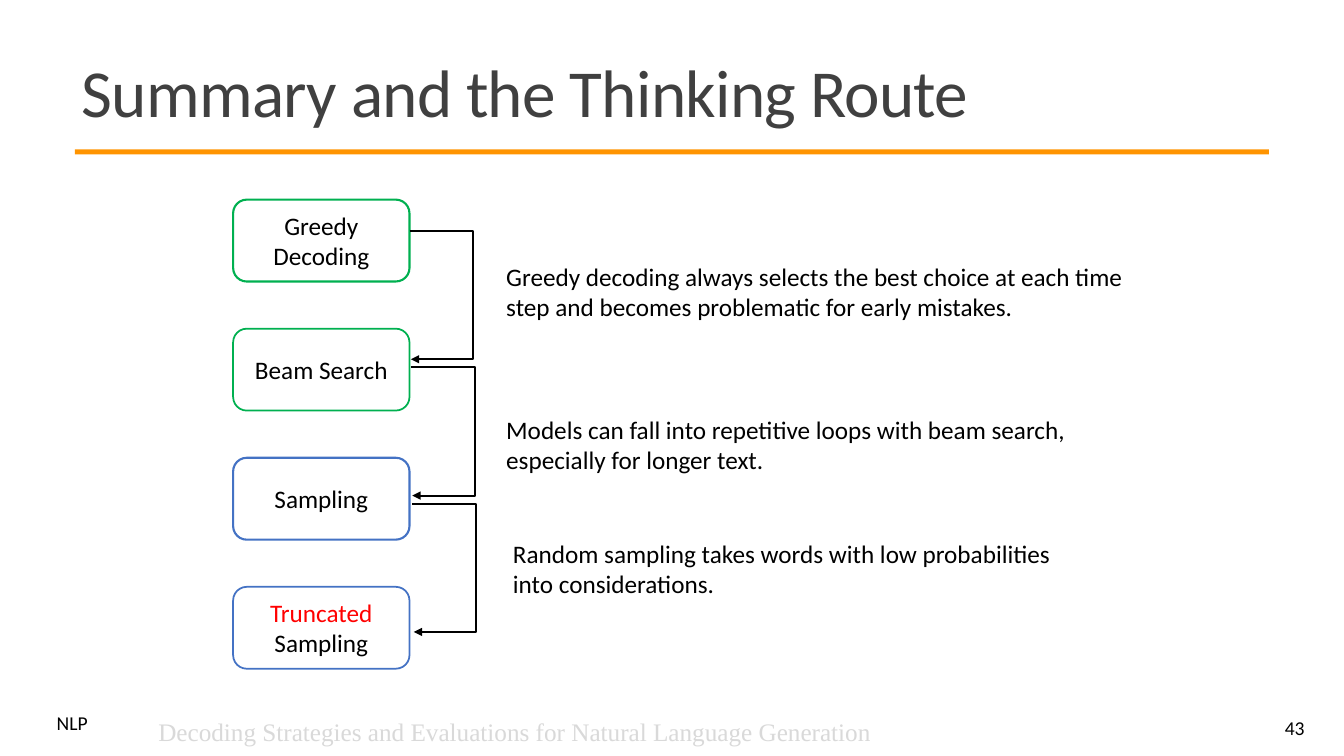
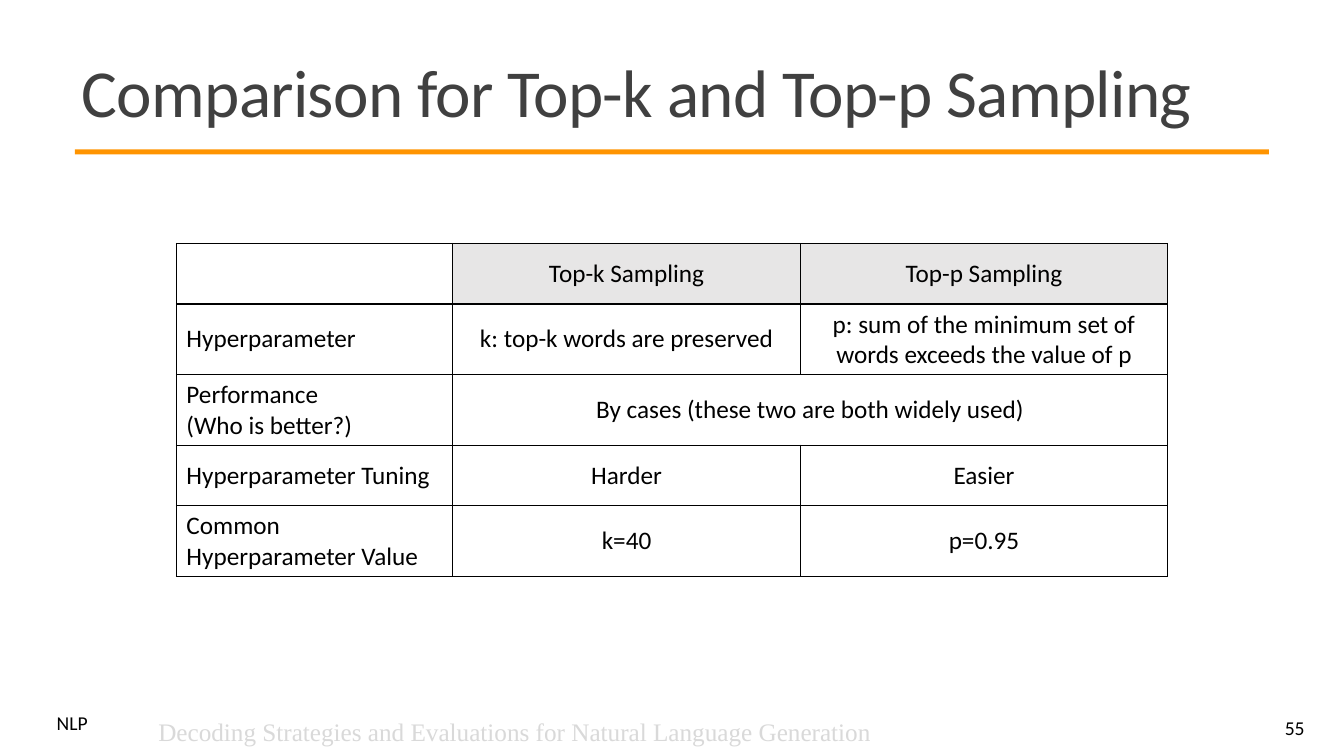
from lxml import etree
from pptx import Presentation
from pptx.dml.color import RGBColor
from pptx.enum import shapes, text
from pptx.oxml import ns
from pptx.util import Pt

COLORS = {
    "ink": "000000", "title": "404040", "band": "FF9400", "footer": "D9D9D9",
    "green": "00B050", "blue": "4472C4", "red": "FF0000", "header": "E7E6E6",
}
RGB = {name: RGBColor.from_string(value) for name, value in COLORS.items()}
LEFT, CENTER, RIGHT = text.PP_ALIGN.LEFT, text.PP_ALIGN.CENTER, text.PP_ALIGN.RIGHT
MIDDLE, TOP = text.MSO_ANCHOR.MIDDLE, text.MSO_ANCHOR.TOP


def write(tf, content, size=18, color="ink", align=LEFT, font="Calibri", spacing=None):
    tf.text = content
    for p in tf.paragraphs:
        p.alignment = align
        p.line_spacing = spacing
        for r in p.runs:
            r.font.size = Pt(size)
            r.font.name = font
            r.font.bold = False
            r.font.color.rgb = RGB[color]


def add_text(s, box, content, anchor=TOP, **style):
    tf = s.shapes.add_textbox(*map(Pt, box)).text_frame
    tf.word_wrap = True
    tf.vertical_anchor = anchor
    write(tf, content, **style)
    return tf


prs = Presentation()
prs.slide_width, prs.slide_height = Pt(960), Pt(540)

for title, number in (
    ("Summary and the Thinking Route", "43"),
    ("Comparison for Top-k and Top-p Sampling", "55"),
):
    s = prs.slides.add_slide(prs.slide_layouts[6])
    band = s.shapes.add_shape(shapes.MSO_SHAPE.RECTANGLE, Pt(53.5), Pt(106.7), Pt(853), Pt(3.6))
    band.shadow.inherit = False
    band.fill.solid()
    band.fill.fore_color.rgb = RGB["band"]
    band.line.fill.background()
    tf = add_text(s, (51.3, 28.2, 859.5, 81.4), title, MIDDLE, size=48, color="title", spacing=0.85)
    tf.paragraphs[0].runs[0].font._element.set("spc", "-50")
    add_text(s, (33.4, 507.6, 44, 21), "NLP", size=14, spacing=0.8)
    add_text(s, (836, 505.5, 103, 28.8), number, MIDDLE, size=14, align=RIGHT)
    add_text(s, (106, 508.3, 541.5, 29),
             "Decoding Strategies and Evaluations for Natural Language Generation",
             color="footer", font="Times New Roman")

route, comparison = prs.slides

steps = [
    ("Greedy Decoding", "green", 1.5),
    ("Beam Search", "green", 1.25),
    ("Sampling", "blue", 1.5),
    ("Truncated", "blue", 1.25),
]
for i, (label, color, width) in enumerate(steps):
    sp = route.shapes.add_shape(shapes.MSO_SHAPE.ROUNDED_RECTANGLE,
                                Pt(166.5), Pt(142.6 + 92.2 * i), Pt(126), Pt(58.5))
    sp.shadow.inherit = False
    sp.fill.background()
    sp.line.color.rgb = RGB[color]
    sp.line.width = Pt(width)
    sp.text_frame.vertical_anchor = MIDDLE
    write(sp.text_frame, label, align=CENTER)

p = sp.text_frame.paragraphs[0]
p.runs[0].font.color.rgb = RGB["red"]
r = p.add_run()
r.text = " Sampling"
r.font.size = Pt(18)
r.font.name = "Calibri"
r.font.color.rgb = RGB["ink"]

for i in range(len(steps) - 1):
    x, y = 292.5 + i, 165 + 97.4 * i
    cn = route.shapes.add_connector(shapes.MSO_CONNECTOR.ELBOW, Pt(x), Pt(y), Pt(x + 1), Pt(y + 91.6))
    cn.line.color.rgb = RGB["ink"]
    cn.line.width = Pt(1.5)
    etree.SubElement(cn.line._get_or_add_ln(), ns.qn("a:tailEnd"), type="triangle")
    spPr = cn._element.spPr
    etree.SubElement(spPr, ns.qn("a:effectLst"))
    guides = spPr.find(ns.qn("a:prstGeom")).get_or_add_avLst()
    etree.SubElement(guides, ns.qn("a:gd"), name="adj1", fmla="val 4590000")

for x, y, width, content in (
    (354.5, 182.9, 476.6, "Greedy decoding always selects the best choice at each time step "
                          "and becomes problematic for early mistakes."),
    (354.5, 292.3, 420, "Models can fall into repetitive loops with beam search, "
                        "especially for longer text."),
    (359.3, 380.9, 420, "Random sampling takes words with low probabilities into considerations."),
):
    add_text(route, (x, y, width, 51), content)

rows = [
    ("", "Top-k Sampling", "Top-p Sampling"),
    ("Hyperparameter", "k: top-k words are preserved",
     "p: sum of the minimum set of words exceeds the value of p"),
    ("Performance\n(Who is better?)", "By cases (these two are both widely used)", ""),
    ("Hyperparameter Tuning", "Harder", "Easier"),
    ("Common Hyperparameter Value", "k=40", "p=0.95"),
]
widths = (197.3, 248.5, 262.2)
row_height = 43.2
table = comparison.shapes.add_table(len(rows), len(widths), Pt(126), Pt(174), Pt(sum(widths)),
                                    Pt(row_height * len(rows))).table
table.first_row = table.horz_banding = False
for column, width in zip(table.columns, widths):
    column.width = Pt(width)

for i, row in enumerate(rows):
    table.rows[i].height = Pt(row_height)
    for j, content in enumerate(row):
        cell = table.cell(i, j)
        cell.vertical_anchor = MIDDLE
        write(cell.text_frame, content, align=CENTER if j else LEFT)
        tcPr = cell._tc.get_or_add_tcPr()
        for side in ("lnL", "lnR", "lnT", "lnB"):
            ln = etree.SubElement(tcPr, ns.qn("a:" + side), w=str(Pt(1)))
            fill = etree.SubElement(ln, ns.qn("a:solidFill"))
            etree.SubElement(fill, ns.qn("a:srgbClr"), val=COLORS["ink"])
        if i == 0 and j:
            cell.fill.solid()
            cell.fill.fore_color.rgb = RGB["header"]
        else:
            cell.fill.background()
table.cell(2, 1).merge(table.cell(2, 2))

prs.save("out.pptx")
